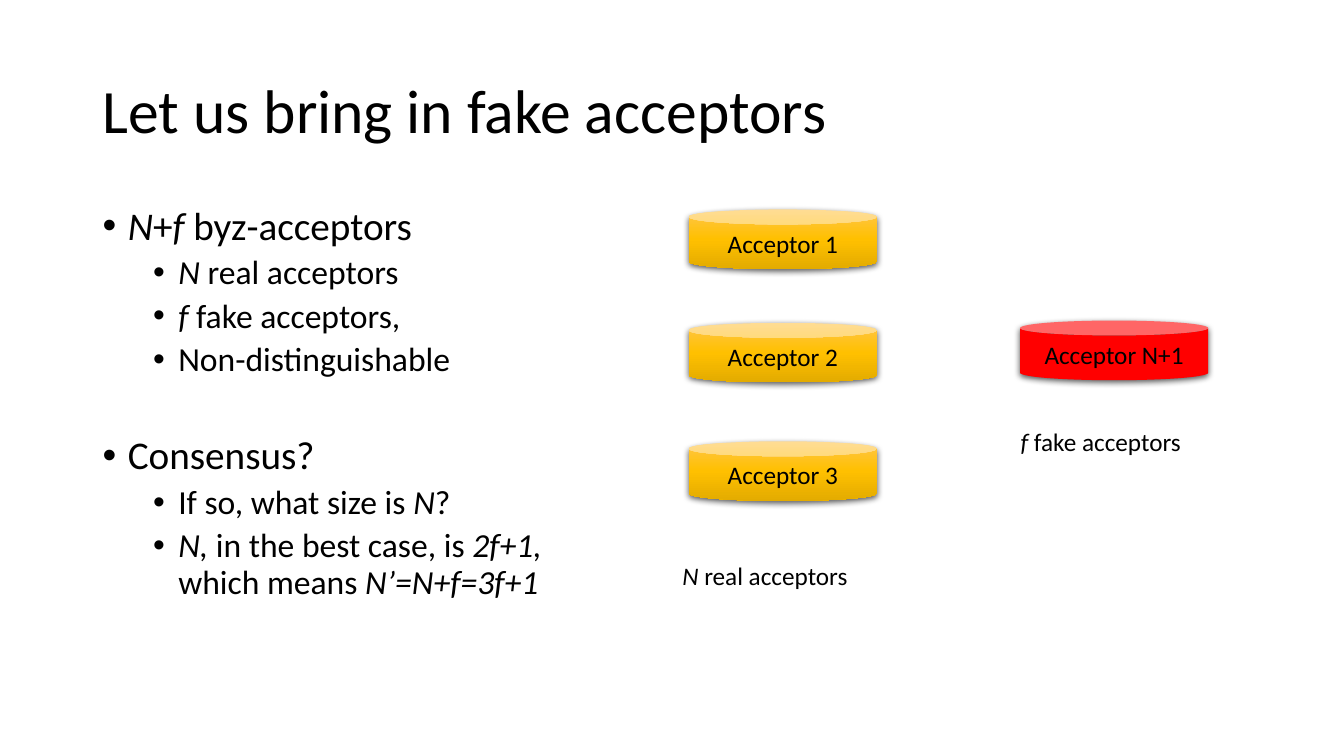
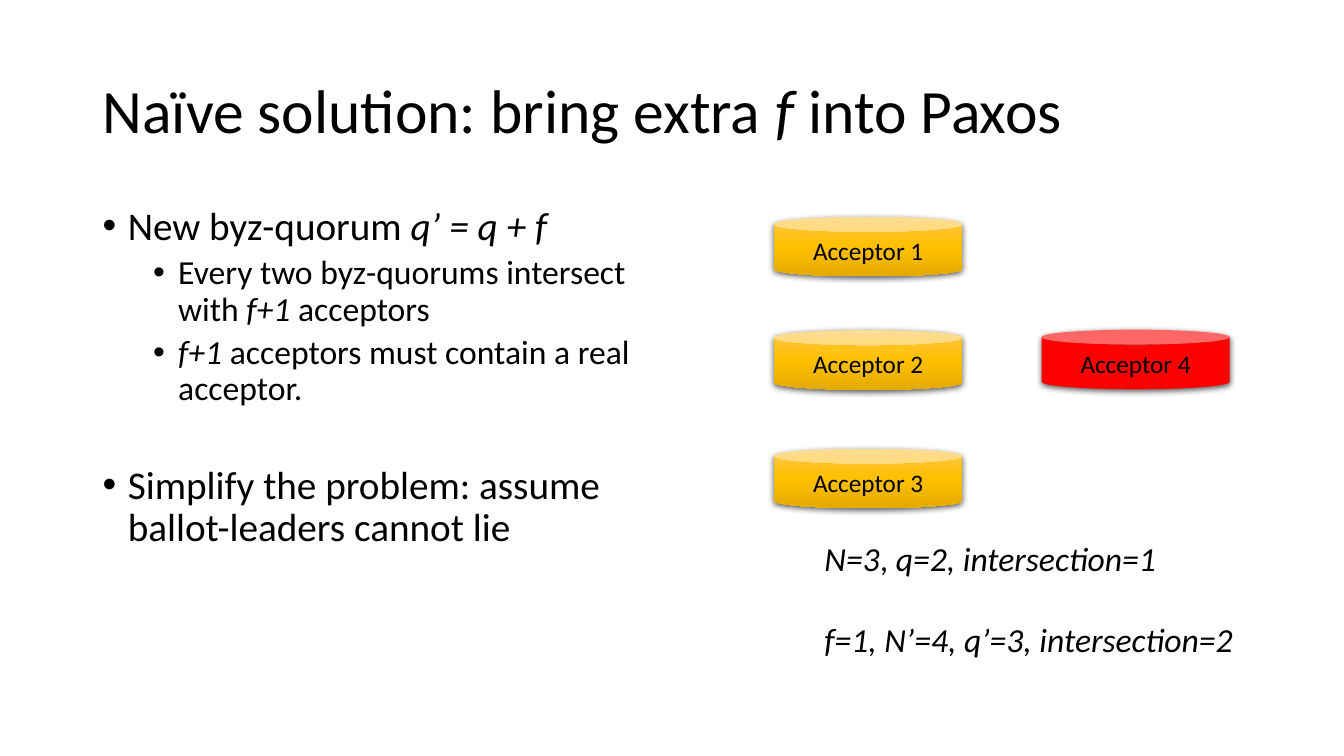
"""Build two slides on fake acceptors and byzantine quorums."""
from copy import deepcopy
from dataclasses import dataclass

from pptx import Presentation
from pptx.dml.color import RGBColor
from pptx.enum.shapes import MSO_SHAPE
from pptx.enum.text import MSO_ANCHOR, PP_ALIGN
from pptx.oxml import parse_xml
from pptx.oxml.ns import nsdecls, qn
from pptx.util import Inches, Pt

CAN = MSO_SHAPE.CAN
MIDDLE = MSO_ANCHOR.MIDDLE
CENTER = PP_ALIGN.CENTER


@dataclass(frozen=True)
class Theme:
    font: str = "Calibri"
    ink: str = "000000"
    real: tuple = ("FFC64B", "FFC000", "E3AB00")
    fake: str = "FF0000"
    title: int = 44
    bullets: tuple = (28, 24)
    bullet_gaps: tuple = (10, 5)
    bullet_indents: tuple = (0.25, 0.75)
    section_gap: int = 41
    formula: int = 24
    formula_gap: int = 29
    label: int = 18
    line_spacing: float = 0.9


THEME = Theme()
TITLE_AREA = (6.9, 5.33, 86.25, 19.33)
BODY_LEFT, BODY_TOP, BODY_HEIGHT = 6.9, 26.67, 63.47
CAN_SIZE = (14, 7.9)
CAN_ROWS = (0, 15, 30.67)

SLIDES = [
    {
        "title": "Let us bring in fake acceptors",
        "body_width": 40.1,
        "bullets": [
            (0, "*N*+*f *byz-acceptors"),
            (1, "*N* real acceptors"),
            (1, "*f* fake acceptors,"),
            (1, "Non-distinguishable"),
            (0, "Consensus?"),
            (1, "If so, what size is *N*?"),
            (1, "*N, *in the best case, is *2f+1, *which means *N’=N+f=3f+1*"),
        ],
        "real": (51.25, 27.7),
        "fake": (75.9, 42.4, "Acceptor N+1"),
        "notes": [
            ((50.03, 73.47, 16, 5.33), THEME.label, ["*N *real acceptors"]),
            ((75.2, 55.73, 19.35, 5.33), THEME.label, ["*f *fake acceptors"]),
        ],
    },
    {
        "title": "Naïve solution: bring extra *f* into Paxos",
        "body_width": 41.2,
        "bullets": [
            (0, "New byz-quorum *q’ = q + f*"),
            (1, "Every two byz-quorums intersect with *f+1 *acceptors"),
            (1, "*f+1 *acceptors must contain a real acceptor."),
            (0, "Simplify the problem: assume ballot-leaders cannot lie"),
        ],
        "real": (57.6, 28.67),
        "fake": (77.5, 43.6, "Acceptor 4"),
        "notes": [
            ((60.6, 70.53, 36.4, 17.47), THEME.formula,
             ["*N=3*, *q=2, intersection=1*", "*f=1, N’=4, q’=3, intersection=2*"]),
        ],
    },
]

deck = Presentation()
deck.slide_width, deck.slide_height = Inches(13.33), Inches(7.5)


def place(left, top, width, height):
    """Turn percentages of the slide into lengths."""
    across, down = deck.slide_width / 100, deck.slide_height / 100
    return int(left * across), int(top * down), int(width * across), int(height * down)


def write(shape, lines, sizes):
    """Write one paragraph per line, with italics between asterisks."""
    frame = shape.text_frame
    frame.word_wrap = True
    for index, (line, size) in enumerate(zip(lines, sizes)):
        para = frame.add_paragraph() if index else frame.paragraphs[0]
        for part, words in enumerate(line.split("*")):
            if words:
                span = para.add_run()
                span.text = words
                span.font.name = THEME.font
                span.font.size = Pt(size)
                span.font.italic = part % 2 == 1
                span.font.color.rgb = RGBColor.from_string(THEME.ink)
    return frame


for content in SLIDES:
    page = deck.slides.add_slide(deck.slide_layouts[6])

    title = page.shapes.add_textbox(*place(*TITLE_AREA))
    frame = write(title, [content["title"]], [THEME.title])
    frame.vertical_anchor = MIDDLE
    frame.paragraphs[0].line_spacing = THEME.line_spacing

    body = page.shapes.add_textbox(
        *place(BODY_LEFT, BODY_TOP, content["body_width"], BODY_HEIGHT))
    levels = [level for level, line in content["bullets"]]
    frame = write(body, [line for level, line in content["bullets"]],
                  [THEME.bullets[level] for level in levels])
    for index, (para, level) in enumerate(zip(frame.paragraphs, levels)):
        properties = para._p.get_or_add_pPr()
        properties.set("marL", str(Inches(THEME.bullet_indents[level])))
        properties.set("indent", str(-Inches(THEME.bullet_indents[0])))
        properties.append(parse_xml(f'<a:buFont {nsdecls("a")} typeface="Arial"/>'))
        properties.append(parse_xml(f'<a:buChar {nsdecls("a")} char="•"/>'))
        para.level = level
        para.line_spacing = THEME.line_spacing
        if index:
            gap = THEME.bullet_gaps[level] if level else THEME.section_gap
            para.space_before = Pt(gap)

    left, top = content["real"]
    acceptors = [(left, top + row, f"Acceptor {number}", True)
                 for number, row in enumerate(CAN_ROWS, 1)]
    acceptors.append((*content["fake"], False))
    for left, top, name, is_real in acceptors:
        can = page.shapes.add_shape(CAN, *place(left, top, *CAN_SIZE))
        can.line.fill.background()
        if is_real:
            can.fill.gradient()
            can.fill.gradient_angle = 270
            stops = can._element.spPr.find(".//" + qn("a:gsLst"))
            stops.insert(1, deepcopy(stops[0]))
            for index, stop in enumerate(can.fill.gradient_stops):
                stop.position = index / 2
                stop.color.rgb = RGBColor.from_string(THEME.real[index])
        else:
            can.fill.solid()
            can.fill.fore_color.rgb = RGBColor.from_string(THEME.fake)
        can.shadow.inherit = False
        can._element.spPr.find(qn("a:effectLst")).append(parse_xml(
            f'<a:outerShdw {nsdecls("a")} blurRad="{Pt(4.5)}" dist="{Pt(1.5)}" '
            f'dir="5400000" algn="ctr" rotWithShape="0"><a:srgbClr val="{THEME.ink}">'
            '<a:alpha val="63000"/></a:srgbClr></a:outerShdw>'))
        frame = write(can, [name], [THEME.label])
        frame.vertical_anchor = MIDDLE
        frame.paragraphs[0].alignment = CENTER

    for area, size, lines in content["notes"]:
        note = page.shapes.add_textbox(*place(*area))
        frame = write(note, lines, [size] * len(lines))
        for para in frame.paragraphs[1:]:
            para.space_before = Pt(THEME.formula_gap)

deck.save("out.pptx")
